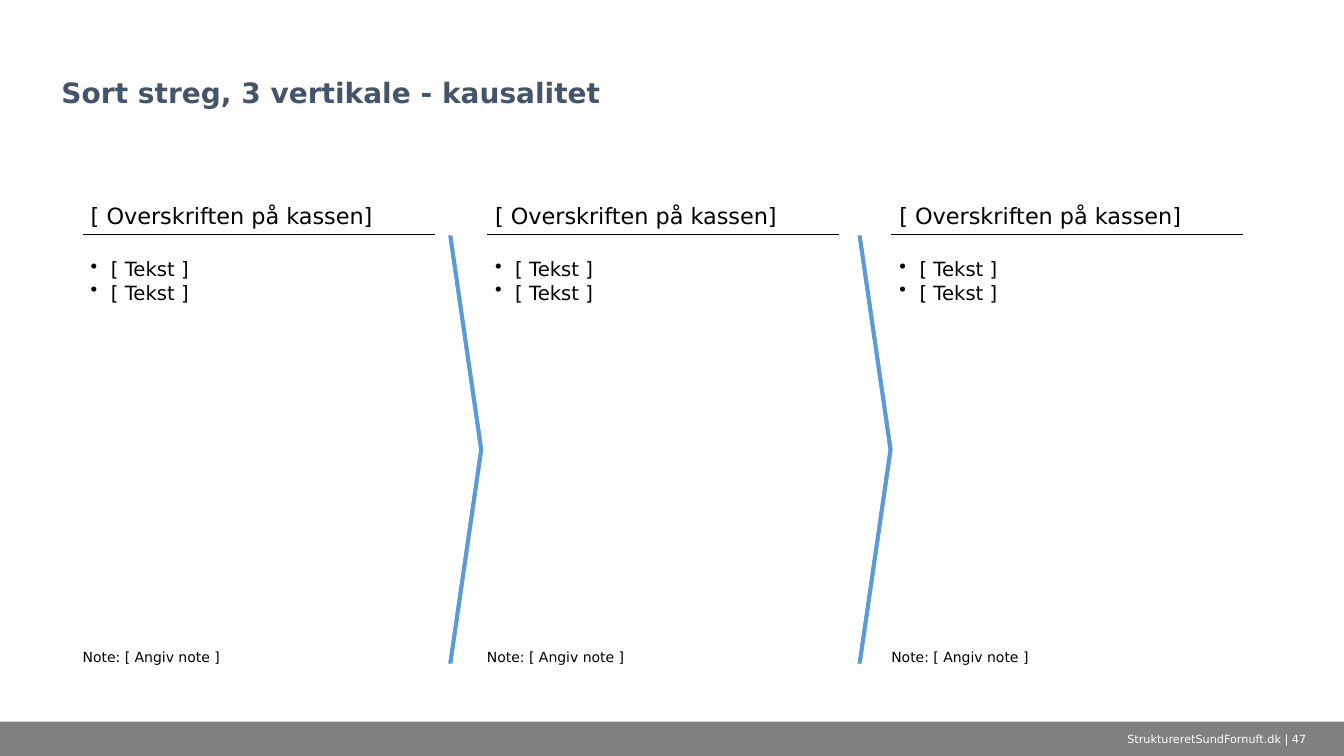
from lxml.etree import SubElement
from pptx import Presentation
from pptx.dml.color import RGBColor
from pptx.enum.shapes import MSO_CONNECTOR, MSO_SHAPE
from pptx.enum.text import MSO_ANCHOR as ANCHOR, MSO_AUTO_SIZE as AUTO, PP_ALIGN as ALIGN
from pptx.oxml.ns import qn
from pptx.util import Inches, Pt

FONT = "DejaVu Sans"
BLACK = RGBColor(0x00, 0x00, 0x00)
WHITE = RGBColor(0xFF, 0xFF, 0xFF)
GREY = RGBColor(0x80, 0x80, 0x80)
NAVY = RGBColor(0x44, 0x54, 0x6A)
BLUE = RGBColor(0x5B, 0x9B, 0xD5)

SLIDE_W, SLIDE_H = 13.33, 7.5
COLUMNS, COL_LEFT, COL_TOP, COL_W, COL_H = 3, 0.82, 1.7, 3.49, 4.9
COL_STEP = 4.01
HEAD_H, GAP = 0.63, 0.16
NOTE_H = 0.17
ARROW_LEFT, ARROW_STEP, ARROW_W, ARROW_H = 4.45, 4.06, 0.34, 4.24
INSETS = (0.08, 0.06, 0.08, 0.06)


def inches(*values):
    return [Inches(v) for v in values]


def write(sp, lines, insets, frame, font, align=ALIGN.LEFT, bullet=None):
    """Fill a shape with formatted paragraphs."""
    tf = sp.text_frame
    sides = ("margin_left", "margin_top", "margin_right", "margin_bottom")
    margins = dict(zip(sides, inches(*insets)))
    for name, value in {"word_wrap": True, **margins, **frame}.items():
        setattr(tf, name, value)
    for i, line in enumerate(lines):
        p = tf.add_paragraph() if i else tf.paragraphs[0]
        p.alignment = align
        if bullet:
            pPr = p._p.get_or_add_pPr()
            pPr.set("marL", str(Inches(0.2)))
            pPr.set("indent", str(Inches(-0.2)))
            SubElement(pPr, qn("a:buChar")).set("char", bullet)
        r = p.add_run()
        r.text = line
        for name, value in {"name": FONT, **font}.items():
            if name == "color":
                r.font.color.rgb = value
            else:
                setattr(r.font, name, value)


def add_text(slide, box, lines, size, insets=INSETS, anchor=ANCHOR.TOP,
             color=BLACK, fit=AUTO.NONE, **options):
    sp = slide.shapes.add_textbox(*inches(*box))
    frame = {"vertical_anchor": anchor, "auto_size": fit}
    write(sp, lines, insets, frame, {"size": Pt(size), "color": color}, **options)


def add_solid(slide, kind, box, color):
    sp = slide.shapes.add_shape(kind, *inches(*box))
    sp.shadow.inherit = False
    sp.fill.solid()
    sp.fill.fore_color.rgb = color
    return sp


def add_footer(slide, x, y, w, h):
    bar = add_solid(slide, MSO_SHAPE.RECTANGLE, (x, y, w, h), GREY)
    bar.line.fill.background()
    label_w = 2.52
    add_text(slide, (x + w - label_w, y, label_w, h), ["StruktureretSundFornuft.dk | 47"], 8,
             anchor=ANCHOR.MIDDLE, color=WHITE, align=ALIGN.CENTER)


def add_title(slide, box, text):
    sp = slide.shapes.title
    sp.left, sp.top, sp.width, sp.height = inches(*box)
    frame = {"vertical_anchor": ANCHOR.BOTTOM, "auto_size": AUTO.NONE}
    write(sp, [text], (0.1, 0.05, 0.1, 0.05), frame,
          {"size": Pt(20), "bold": True, "color": NAVY})
    sp.text_frame.paragraphs[0].line_spacing = 0.9


def add_column(slide, x, y, w, h):
    # Heading over its rule
    rule_y = y + HEAD_H
    rule = slide.shapes.add_connector(MSO_CONNECTOR.STRAIGHT,
                                      *inches(x, rule_y, x + w, rule_y))
    rule.line.color.rgb = BLACK
    rule.line.width = Pt(0.5)
    SubElement(rule._element.spPr, qn("a:effectLst"))
    add_text(slide, (x, y, w, HEAD_H), ["[ Overskriften på kassen]"], 16,
             anchor=ANCHOR.BOTTOM)
    # Bullets and note
    body_y, note_y = rule_y + GAP, y + h - NOTE_H
    add_text(slide, (x, body_y, w, note_y - body_y), ["[ Tekst ]"] * 2, 14, bullet="•")
    add_text(slide, (x, note_y, w, NOTE_H), ["Note: [ Angiv note ]"], 10,
             insets=(0, 0, 0, 0), fit=AUTO.SHAPE_TO_FIT_TEXT)


def add_arrow(slide, x, y, w, h):
    sp = add_solid(slide, MSO_SHAPE.CHEVRON, (x, y, w, h), BLUE)
    sp.adjustments[0] = 0.9
    sp.line.color.rgb = BLUE
    sp.line.width = Pt(0.5)


def main():
    prs = Presentation()
    prs.slide_width, prs.slide_height = inches(SLIDE_W, SLIDE_H)
    slide = prs.slides.add_slide(prs.slide_layouts[5])

    add_footer(slide, 0, 7.16, SLIDE_W, SLIDE_H - 7.16)
    add_title(slide, (0.51, 0.17, 12.31, 0.97), "Sort streg, 3 vertikale - kausalitet")
    for i in range(COLUMNS):
        add_column(slide, COL_LEFT + i * COL_STEP, COL_TOP, COL_W, COL_H)
    for i in range(COLUMNS - 1):
        add_arrow(slide, ARROW_LEFT + i * ARROW_STEP, COL_TOP + HEAD_H + 0.01,
                  ARROW_W, ARROW_H)

    prs.save("out.pptx")


if __name__ == "__main__":
    main()
